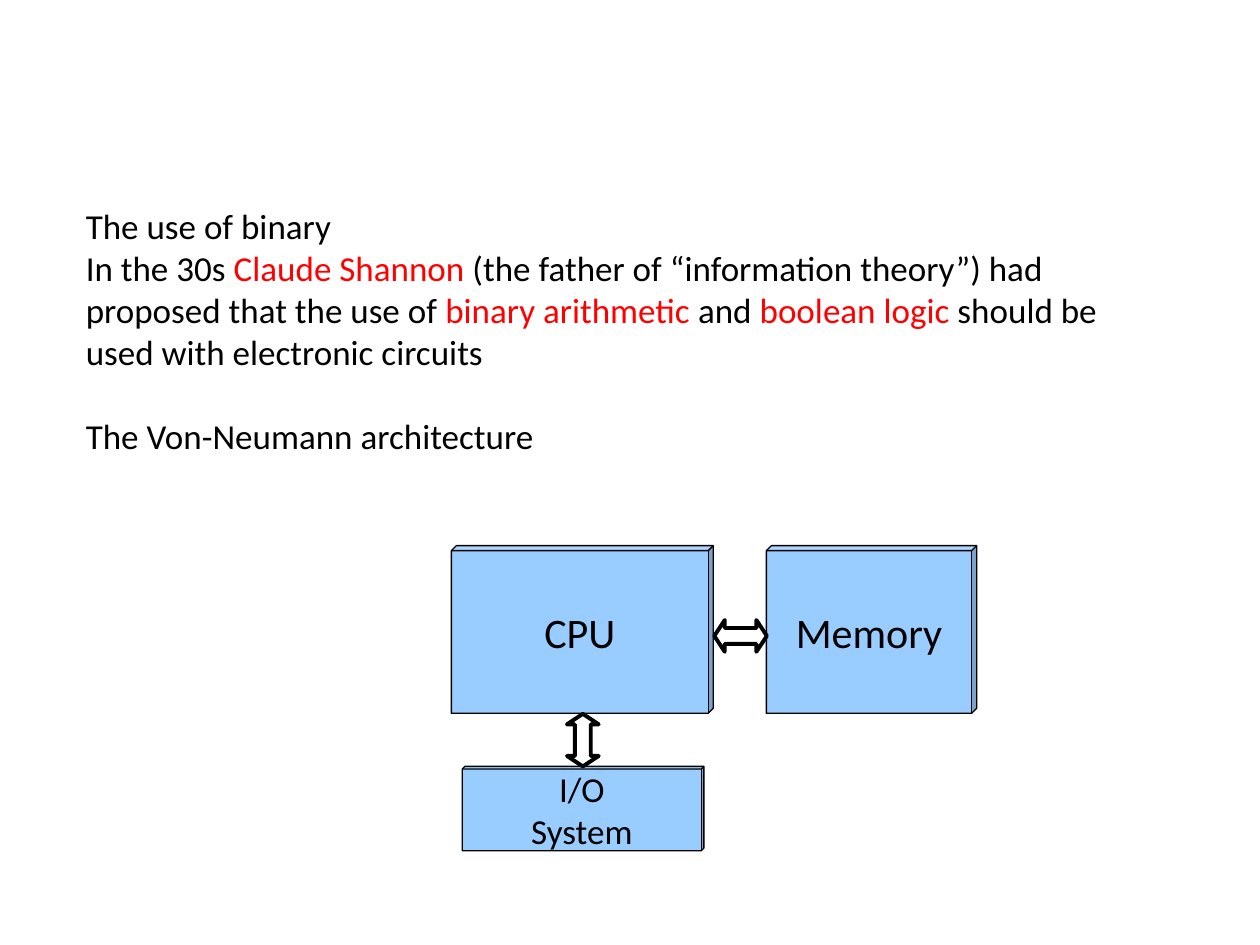
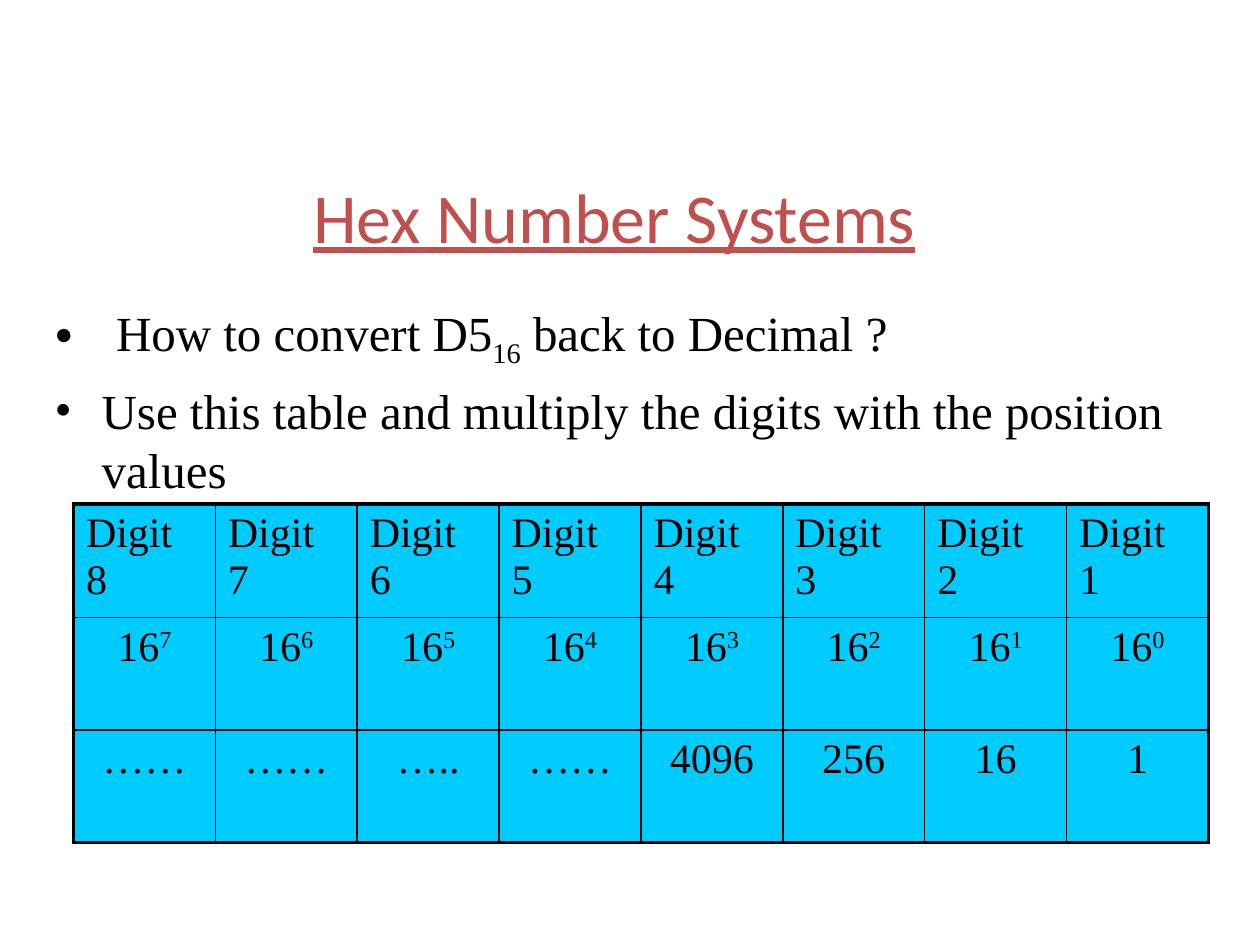
from lxml.etree import SubElement
from pptx import Presentation
from pptx.dml.color import RGBColor
from pptx.enum.shapes import MSO_SHAPE
from pptx.enum.text import MSO_ANCHOR, PP_ALIGN
from pptx.oxml import parse_xml
from pptx.oxml.ns import nsdecls, qn
from pptx.util import Cm, Pt

COLOURS = {
    "ink": "000000",
    "key": "FF0000",
    "heading": "C0504D",
    "block": "99CCFF",
    "cell": "00CCFF",
}
SANS, SERIF = "Calibri", "Times New Roman"

HISTORY = [
    ([("The use of binary", "ink")], 0),
    ([
        ("In the 30s ", "ink"),
        ("Claude Shannon", "key"),
        (" (the father of “information theory”) had proposed that the use of ", "ink"),
        ("binary arithmetic", "key"),
        (" and ", "ink"),
        ("boolean logic", "key"),
        (" should be used with electronic circuits", "ink"),
    ], 0),
    ([("The Von-Neumann architecture", "ink")], 24),
]
UNITS = [
    (["CPU"], 24, (9.1, 11, 5.28, 3.38)),
    (["Memory"], 24, (15.45, 11, 4.24, 3.38)),
    (["I/O", "System"], 20, (9.32, 15.45, 4.87, 1.7)),
]
BUSES = [((14.4, 12.5), 0), ((11.22, 14.6), 270)]

HEADING = "Hex Number Systems"
STEPS = [
    ([("How to convert D5", 0), ("16", -25), (" back to Decimal ?", 0)], 1.24, 114, 0),
    ([("Use this table and multiply the digits with the position values", 0)], 0.95, 100, 6.5),
]
PLACE_VALUES = ["……", "……", "…..", "……", "4096", "256", "16", "1"]
DIGITS = len(PLACE_VALUES)
DIGIT_ROWS = [
    [[(f"Digit {n}", 0)] for n in range(DIGITS, 0, -1)],
    [[("16", 0), (str(n - 1), 30)] for n in range(DIGITS, 0, -1)],
    [[(value, 0)] for value in PLACE_VALUES],
]
COLUMN_WIDTH, ROW_HEIGHT = 2.86, 2.27
OUTER, INNER = 2.25, 1


def rgb(name):
    return RGBColor.from_string(COLOURS[name])


def style(paragraph, face, size, colour="ink", align=PP_ALIGN.LEFT, before=0):
    paragraph.alignment = align
    paragraph.space_before = Pt(before)
    paragraph.font.name = face
    paragraph.font.size = Pt(size)
    if colour:
        paragraph.font.color.rgb = rgb(colour)


def add_runs(paragraph, pieces):
    for words, baseline in pieces:
        run = paragraph.add_run()
        run.text = words
        if baseline:
            run._r.get_or_add_rPr().set("baseline", str(baseline * 1000))


def paragraphs(frame, items):
    for index, item in enumerate(items):
        yield (frame.add_paragraph() if index else frame.paragraphs[0]), item


def add_frame(slide, place, anchor=MSO_ANCHOR.MIDDLE):
    frame = slide.shapes.add_textbox(*map(Cm, place)).text_frame
    frame.word_wrap = True
    frame.vertical_anchor = anchor
    return frame


def add_outlined(slide, preset, place, adjustments, width):
    outlined = slide.shapes.add_shape(preset, *map(Cm, place))
    outlined.shadow.inherit = False
    for index, value in enumerate(adjustments):
        outlined.adjustments[index] = value
    outlined.line.color.rgb = rgb("ink")
    outlined.line.width = Pt(width)
    return outlined


def add_bullet(paragraph, indent, percent):
    properties = paragraph._p.get_or_add_pPr()
    properties.set("marL", str(Cm(indent)))
    properties.set("indent", str(-Cm(indent)))
    SubElement(properties, qn("a:buSzPct"), val=str(percent * 1000))
    SubElement(properties, qn("a:buFont"), typeface=SERIF)
    SubElement(properties, qn("a:buChar"), char="•")


def set_borders(cell, widths):
    properties = cell._tc.get_or_add_tcPr()
    for index, (side, width) in enumerate(zip("LRTB", widths)):
        properties.insert(index, parse_xml(
            f'<a:ln{side} {nsdecls("a")} w="{Pt(width)}"><a:solidFill>'
            f'<a:srgbClr val="{COLOURS["ink"]}"/></a:solidFill></a:ln{side}>'))


def build_architecture(slide):
    history = add_frame(slide, (1.48, 2.75, 22.01, 7.83))
    for paragraph, (pieces, before) in paragraphs(history, HISTORY):
        style(paragraph, SANS, 20, None, before=before)
        for words, colour in pieces:
            run = paragraph.add_run()
            run.text = words
            run.font.color.rgb = rgb(colour)

    for labels, size, place in UNITS:
        unit = add_outlined(slide, MSO_SHAPE.CUBE, place, [0.03], 0.75)
        unit.fill.solid()
        unit.fill.fore_color.rgb = rgb("block")
        unit.text_frame.word_wrap = False
        unit.text_frame.vertical_anchor = MSO_ANCHOR.MIDDLE
        for paragraph, label in paragraphs(unit.text_frame, labels):
            paragraph.text = label
            style(paragraph, SANS, size, align=PP_ALIGN.CENTER)

    for corner, rotation in BUSES:
        bus = add_outlined(slide, MSO_SHAPE.LEFT_RIGHT_ARROW,
                           (*corner, 1.06, 0.64), [0.5, 0.33], 2.25)
        bus.fill.background()
        bus.rotation = rotation


def build_hex(slide):
    heading = add_frame(slide, (2.54, 2.96, 19.69, 2.75)).paragraphs[0]
    heading.text = HEADING
    style(heading, SANS, 40, "heading", PP_ALIGN.CENTER)
    heading.font.underline = True

    steps = add_frame(slide, (0.85, 5.97, 23.5, 4.4), MSO_ANCHOR.TOP)
    for paragraph, (pieces, indent, percent, before) in paragraphs(steps, STEPS):
        add_bullet(paragraph, indent, percent)
        style(paragraph, SERIF, 28, before=before)
        add_runs(paragraph, pieces)

    last_row, last_column = len(DIGIT_ROWS) - 1, DIGITS - 1
    digits = slide.shapes.add_table(
        len(DIGIT_ROWS), DIGITS, Cm(1.48), Cm(10.16),
        Cm(COLUMN_WIDTH * DIGITS), Cm(ROW_HEIGHT * len(DIGIT_ROWS))).table
    for r, row in enumerate(DIGIT_ROWS):
        for c, pieces in enumerate(row):
            cell = digits.cell(r, c)
            cell.fill.solid()
            cell.fill.fore_color.rgb = rgb("cell")
            edges = (c == 0, c == last_column, r == 0, r == last_row)
            set_borders(cell, [OUTER if edge else INNER for edge in edges])
            paragraph = cell.text_frame.paragraphs[0]
            style(paragraph, SERIF, 24, align=PP_ALIGN.CENTER if r else PP_ALIGN.LEFT)
            paragraph.font.bold = False
            add_runs(paragraph, pieces)


def main():
    deck = Presentation()
    deck.slide_width, deck.slide_height = Cm(25.4), Cm(19.05)
    for build in (build_architecture, build_hex):
        build(deck.slides.add_slide(deck.slide_layouts[6]))
    deck.save("out.pptx")


if __name__ == "__main__":
    main()
